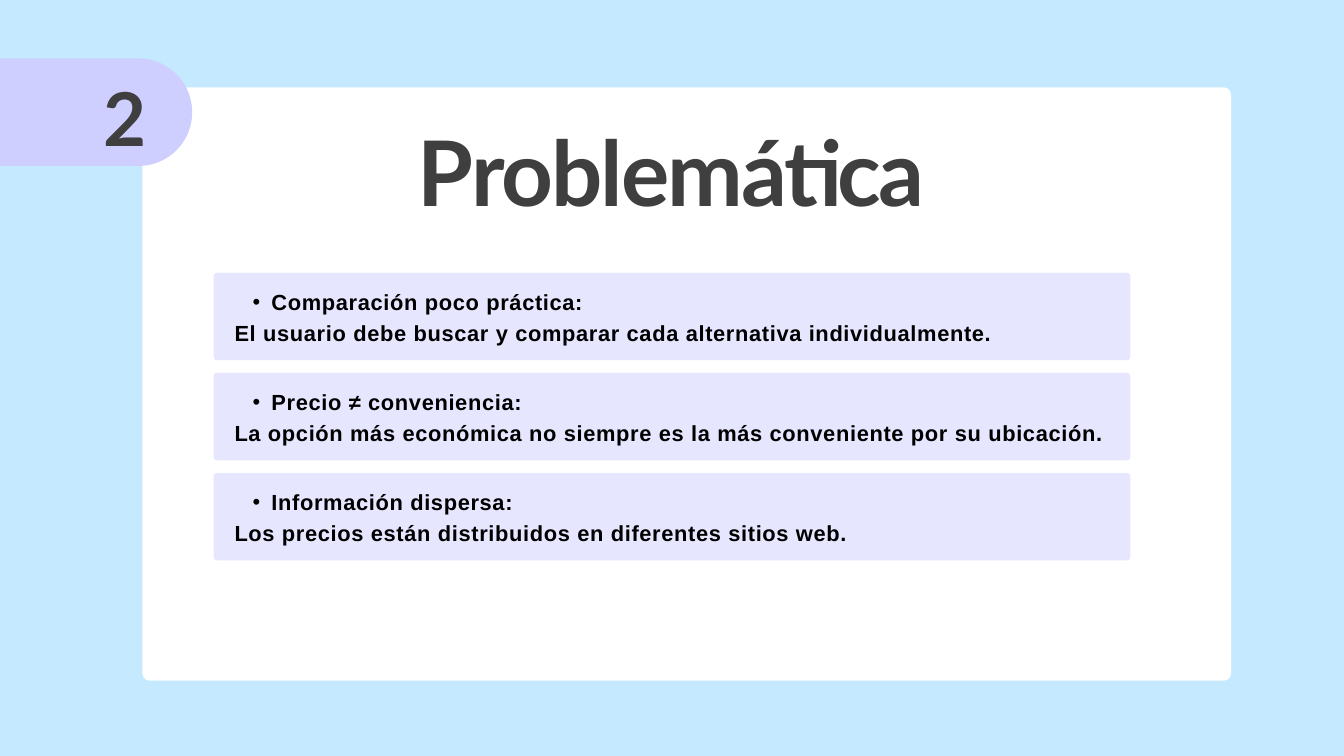
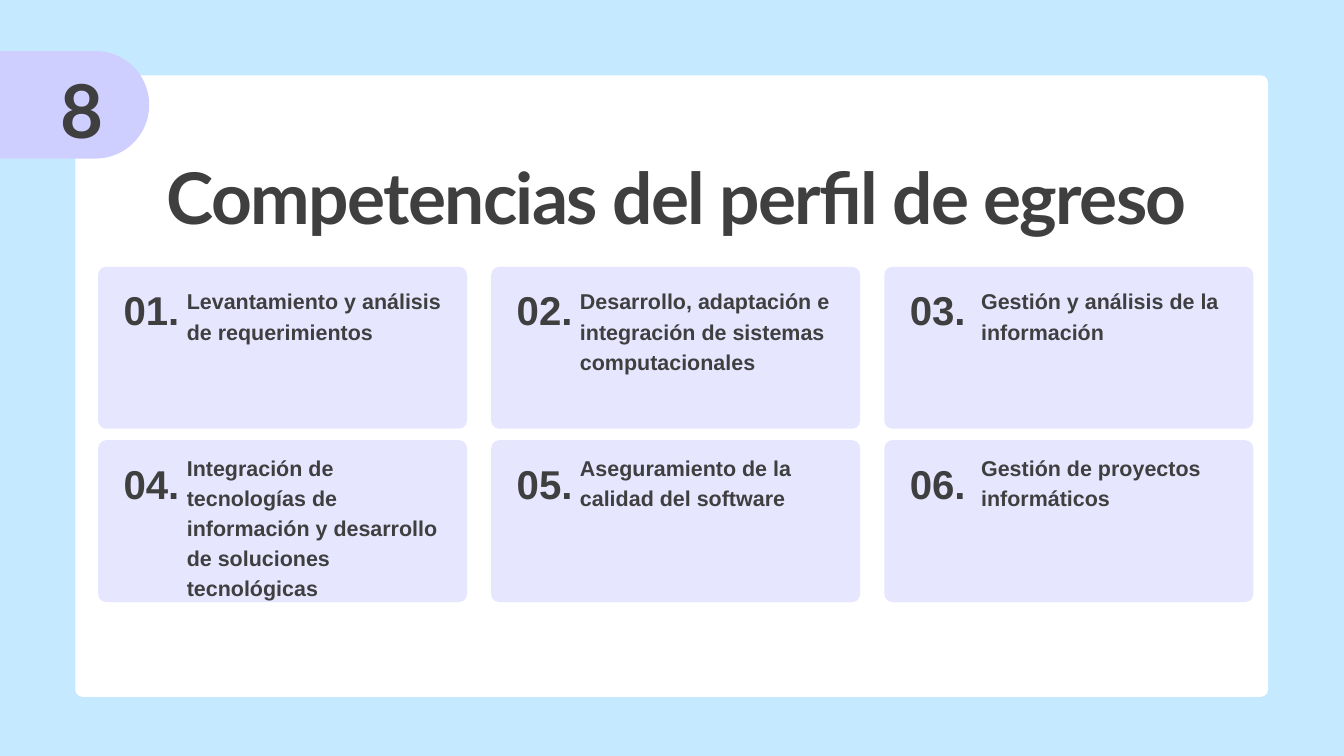
"""Build two slides of a project presentation: the problem and the graduate skills."""
from dataclasses import dataclass
from typing import NamedTuple

from lxml.etree import SubElement
from pptx import Presentation
from pptx.dml.color import RGBColor
from pptx.enum.shapes import MSO_SHAPE
from pptx.enum.text import MSO_AUTO_SIZE, PP_ALIGN
from pptx.oxml.ns import qn
from pptx.shapes.autoshape import Shape
from pptx.slide import Slide
from pptx.util import Inches, Pt


@dataclass(frozen=True)
class Theme:
    """Colours, fonts and type sizes shared by the slides."""

    sky: RGBColor = RGBColor(0xC5, 0xEA, 0xFF)
    panel: RGBColor = RGBColor(0xFF, 0xFF, 0xFF)
    tab: RGBColor = RGBColor(0xCE, 0xCE, 0xFF)
    card: RGBColor = RGBColor(0xE6, 0xE6, 0xFF)
    ink: RGBColor = RGBColor(0x40, 0x3F, 0x40)
    black: RGBColor = RGBColor(0, 0, 0)
    heading_font: str = "Lato"
    body_font: str = "Arial"
    page_number_size: float = 79.5
    problem_size: float = 23.4
    card_number_size: float = 43.1
    card_text_size: float = 23


THEME = Theme()


class Area(NamedTuple):
    """A rectangle on the slide, in inches."""

    left: float
    top: float
    width: float
    height: float


@dataclass(frozen=True)
class Heading:
    """The title of a slide with its own type size and line spacing."""

    text: str
    area: Area
    size: float
    line: float
    tracking: float


class Problem(NamedTuple):
    """A named problem and its explanation."""

    name: str
    detail: str


class Column(NamedTuple):
    """A column of skill cards: where its text starts, and the skills."""

    text_offset: float
    skills: tuple[str, ...]


PROBLEMS = (
    Problem("Comparación poco práctica:",
            "El usuario debe buscar y comparar cada alternativa individualmente."),
    Problem("Precio ≠ conveniencia:",
            "La opción más económica no siempre es la más conveniente por su ubicación."),
    Problem("Información dispersa:",
            "Los precios están distribuidos en diferentes sitios web."),
)

COLUMNS = (
    Column(1.32, ("Levantamiento y análisis de requerimientos",
                  "Integración de tecnologías de información y desarrollo "
                  "de soluciones tecnológicas")),
    Column(1.32, ("Desarrollo, adaptación e integración de sistemas computacionales",
                  "Aseguramiento de la calidad del software")),
    Column(1.44, ("Gestión y análisis de la información",
                  "Gestión de proyectos informáticos")),
)


def inches(area: Area) -> list[Inches]:
    """Turn an area into lengths."""
    return [Inches(value) for value in area]


def add_block(page: Slide, kind: MSO_SHAPE, area: Area, color: RGBColor) -> Shape:
    """Draw a flat filled shape without outline or shadow."""
    block = page.shapes.add_shape(kind, *inches(area))
    block.shadow.inherit = False
    block.fill.solid()
    block.fill.fore_color.rgb = color
    block.line.fill.background()
    return block


def add_card(page: Slide, area: Area, color: RGBColor, radius: float) -> None:
    """Draw a rounded rectangle with a corner radius in inches."""
    card = add_block(page, MSO_SHAPE.ROUNDED_RECTANGLE, area, color)
    card.adjustments[0] = radius / min(area.width, area.height)


def add_text(page: Slide, area: Area, *lines: str, font: str, size: float,
             line: float, color: RGBColor = THEME.ink, tracking: float = 0,
             align: PP_ALIGN = PP_ALIGN.LEFT, bullet_first: bool = False) -> None:
    """Write bold paragraphs in a text box without margins."""
    frame = page.shapes.add_textbox(*inches(area)).text_frame
    frame.margin_left = frame.margin_top = frame.margin_right = frame.margin_bottom = 0
    frame.word_wrap = True
    frame.auto_size = MSO_AUTO_SIZE.SHAPE_TO_FIT_TEXT
    for index, text in enumerate(lines):
        para = frame.add_paragraph() if index else frame.paragraphs[0]
        para.alignment = align
        para.line_spacing = Pt(line)
        if bullet_first and index == 0:
            add_bullet(para)
        span = para.add_run()
        span.text = text
        span.font.name = font
        span.font.size = Pt(size)
        span.font.bold = True
        span.font.color.rgb = color
        if tracking:
            span.font._element.set("spc", str(round(tracking * 100)))


def add_bullet(para) -> None:
    """Give a paragraph a hanging round bullet."""
    para.level = 1
    properties = para._p.get_or_add_pPr()
    properties.set("marL", str(Inches(0.55)))
    properties.set("indent", str(Inches(-0.28)))
    SubElement(properties, qn("a:buFont"), typeface=THEME.body_font)
    SubElement(properties, qn("a:buChar"), char="•")


def add_page(deck: Presentation, panel: Area, tab: Area, number: str,
             heading: Heading) -> Slide:
    """Add a slide with its background, white panel, number tab and title."""
    page = deck.slides.add_slide(deck.slide_layouts[6])
    page.background.fill.solid()
    page.background.fill.fore_color.rgb = THEME.sky
    add_card(page, panel, THEME.panel, 0.11)
    upright = Area(tab.left + (tab.width - tab.height) / 2,
                   tab.top + (tab.height - tab.width) / 2, tab.height, tab.width)
    block = add_block(page, MSO_SHAPE.ROUND_2_SAME_RECTANGLE, upright, THEME.tab)
    block.adjustments[0] = 0.5
    block.rotation = 90
    add_text(page, Area(tab.left + 1.43, tab.top - 0.02, 1.49, 1.48), number,
             font=THEME.heading_font, size=THEME.page_number_size, line=111.4,
             tracking=-1.8, align=PP_ALIGN.CENTER)
    add_text(page, heading.area, heading.text, font=THEME.heading_font,
             size=heading.size, line=heading.line, tracking=heading.tracking,
             align=PP_ALIGN.CENTER)
    return page


def add_problem_page(deck: Presentation) -> None:
    """Build the slide that lists the problems."""
    heading = Heading("Problemática", Area(5.01, 1.97, 9.96, 1.42), 96.9, 98.8, -2.1)
    page = add_page(deck, Area(2.12, 1.3, 16.2, 8.83), Area(-0.31, 0.87, 3.17, 1.6),
                    "2", heading)
    for row, problem in enumerate(PROBLEMS):
        top = 4.06 + row * 1.49
        add_card(page, Area(3.18, top, 13.64, 1.3), THEME.card, 0.05)
        add_text(page, Area(3.49, top + 0.17, 13.33, 0.89), problem.name, problem.detail,
                 font=THEME.body_font, size=THEME.problem_size, line=32.8,
                 color=THEME.black, tracking=0.7, bullet_first=True)


def add_skills_page(deck: Presentation) -> None:
    """Build the slide with the grid of skill cards."""
    heading = Heading("Competencias del perfil de egreso",
                      Area(1.69, 2.07, 16.75, 1.41), 76.3, 106.8, -1.7)
    page = add_page(deck, Area(1.12, 1.12, 17.75, 9.25), Area(-0.95, 0.76, 3.17, 1.6),
                    "8", heading)
    for index, column in enumerate(COLUMNS):
        left = 1.46 + index * 5.85
        for row, skill in enumerate(column.skills):
            top = 3.97 + row * 2.58
            number = row * len(COLUMNS) + index + 1
            add_card(page, Area(left, top, 5.49, 2.41), THEME.card, 0.12)
            add_text(page, Area(left - 0.12, top - 0.02, 1.33, 0.96), f"{number:02}.",
                     font=THEME.body_font, size=THEME.card_number_size, line=73.3,
                     align=PP_ALIGN.RIGHT)
            add_text(page, Area(left + column.text_offset, 4.23 + row * 2.48, 4.05, 0.87),
                     skill, font=THEME.body_font, size=THEME.card_text_size, line=32.2)


def main() -> None:
    """Build and save the deck."""
    deck = Presentation()
    deck.slide_width, deck.slide_height = Inches(20), Inches(11.25)
    add_problem_page(deck)
    add_skills_page(deck)
    deck.save("out.pptx")


if __name__ == "__main__":
    main()
